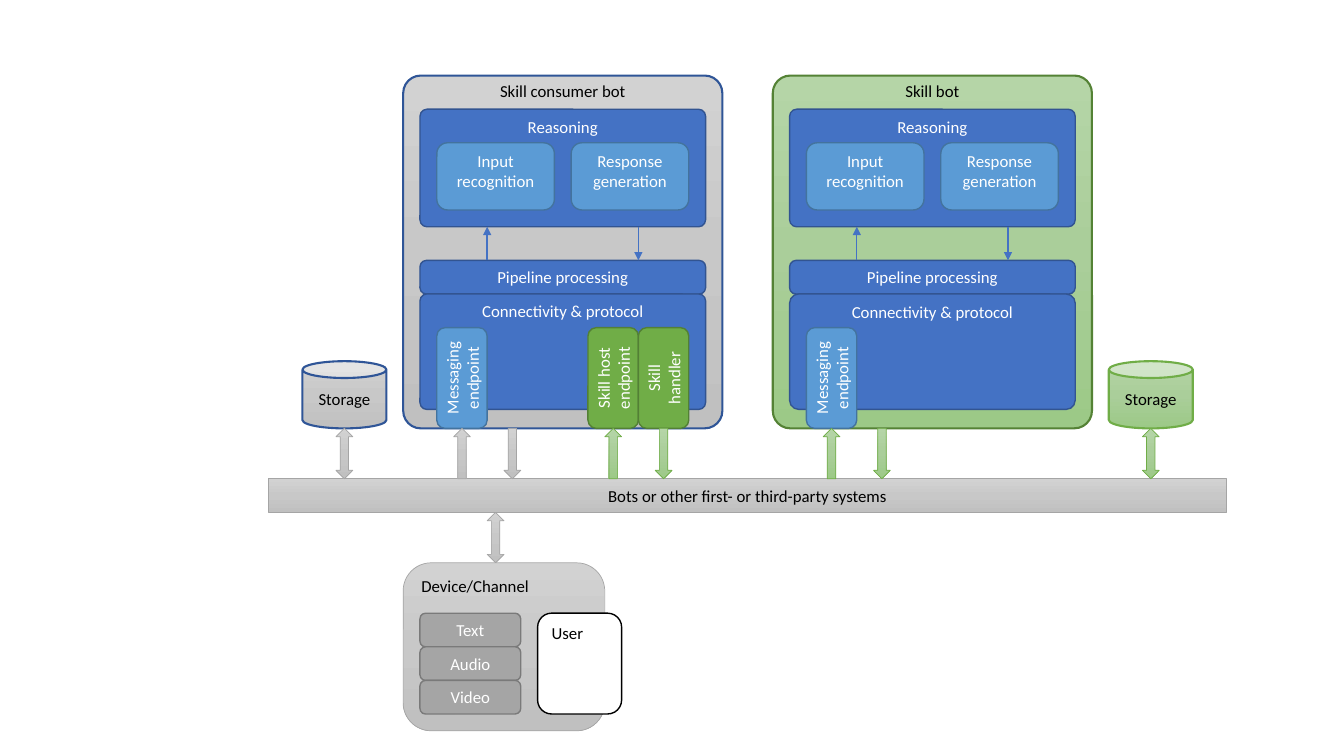
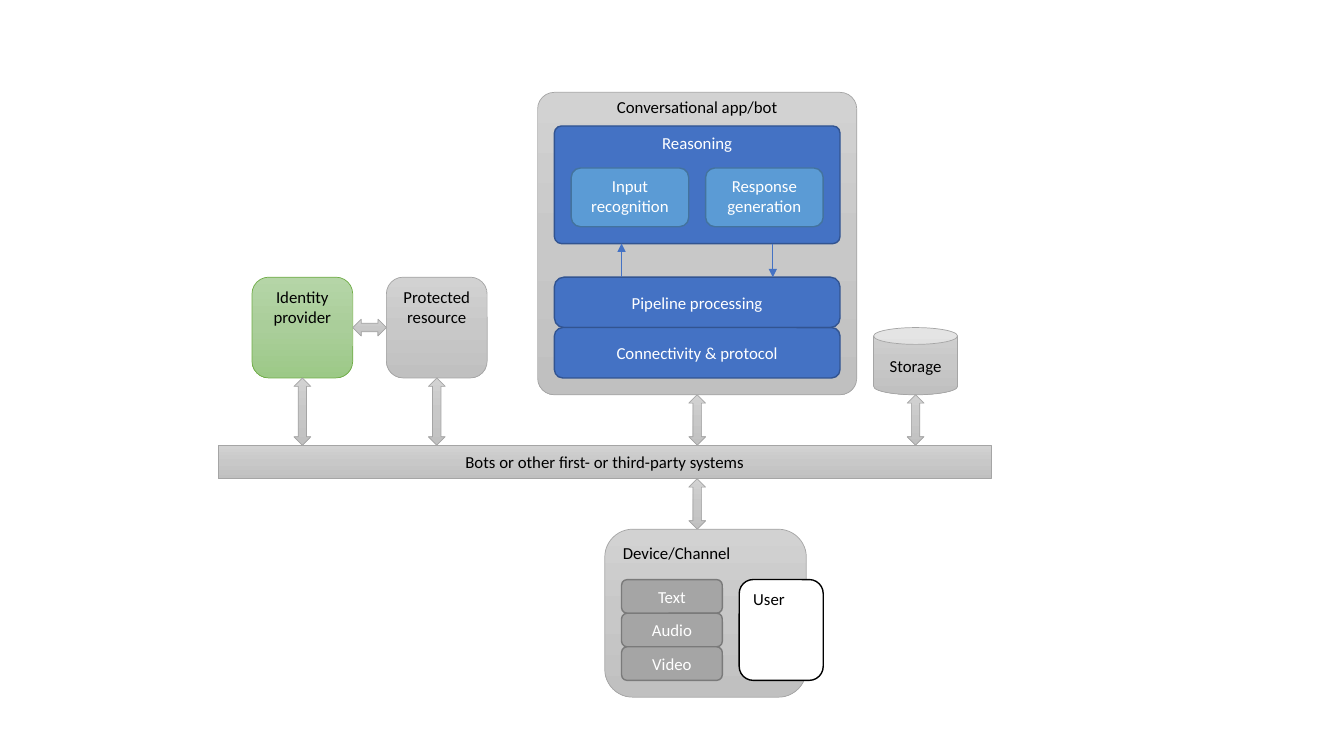
from copy import deepcopy

from lxml.etree import SubElement
from pptx import Presentation
from pptx.dml.color import RGBColor
from pptx.enum.shapes import MSO_CONNECTOR, MSO_SHAPE
from pptx.enum.text import MSO_ANCHOR, PP_ALIGN
from pptx.oxml.ns import qn
from pptx.util import Emu, Pt

PX = 9525
FONT = "Calibri"
GREY = ("D2D2D2", "C8C8C8", "C0C0C0")
GREEN = ("B5D5A7", "AACE9A", "9CC987")
BLACK, WHITE, BLUE = "000000", "FFFFFF", "4472C4"

# fill, line, line width, text
STYLES = {
    "grey": (GREY, "A5A5A5", 0.5, BLACK),
    "green": (GREEN, "70AD47", 0.5, BLACK),
    "consumer": (GREY, "2F5597", 1.5, BLACK),
    "skill": (GREEN, "548235", 1.5, BLACK),
    "skill storage": (GREEN, "70AD47", 1.5, BLACK),
    "layer": (BLUE, "325491", 1, WHITE),
    "part": ("5B9BD5", "43739E", 1, WHITE),
    "endpoint": ("70AD47", "538035", 1, WHITE),
    "media": ("A5A5A5", "7A7A7A", 1, WHITE),
    "user": (WHITE, BLACK, 1, BLACK),
}


def rgb(value):
    """Turn a hex string into a colour."""
    return RGBColor.from_string(value)


def px(value):
    """Turn px into EMU."""
    return Emu(value * PX)


class Diagram:
    """Draws styled elements on the current slide."""

    def __init__(self, prs):
        """Keep the presentation."""
        self.prs = prs
        self.shapes = None
        self.s = None

    def new_slide(self):
        """Start a blank slide."""
        self.s = self.prs.slides.add_slide(self.prs.slide_layouts[6])
        self.ungroup()

    def group(self):
        """Put the next elements in a new group."""
        self.shapes = self.s.shapes.add_group_shape().shapes

    def ungroup(self):
        """Put the next elements directly on the slide."""
        self.shapes = self.s.shapes

    def paint(self, sp, fill):
        """Fill a shape with one colour or a vertical gradient."""
        if isinstance(fill, str):
            sp.fill.solid()
            sp.fill.fore_color.rgb = rgb(fill)
            return
        sp.fill.gradient()
        sp.fill.gradient_angle = 270
        stops = sp._element.spPr.find(qn("a:gradFill")).find(qn("a:gsLst"))
        stops.insert(1, deepcopy(stops[0]))
        for stop, position, colour in zip(sp.fill.gradient_stops, (0, 0.5, 1), fill):
            stop.position = position
            stop.color.rgb = rgb(colour)

    def shape(self, kind, x, y, w, h, style):
        """Add a preset shape in a named style."""
        fill, line, width, _ = STYLES[style]
        sp = self.shapes.add_shape(kind, px(x), px(y), px(w), px(h))
        sp.shadow.inherit = False
        self.paint(sp, fill)
        sp.line.color.rgb = rgb(line)
        sp.line.width = Pt(width)
        return sp

    def box(self, text, x, y, w, h, style, top=False, align=PP_ALIGN.CENTER,
            radius=None, kind=MSO_SHAPE.ROUNDED_RECTANGLE):
        """Add a labelled shape."""
        sp = self.shape(kind, x, y, w, h, style)
        if radius is not None:
            sp.adjustments[0] = radius
        tf = sp.text_frame
        tf.text = text
        tf.word_wrap = True
        tf.vertical_anchor = MSO_ANCHOR.TOP if top else MSO_ANCHOR.MIDDLE
        p = tf.paragraphs[0]
        p.alignment = align
        r = p.runs[0]
        r.font.name = FONT
        r.font.size = Pt(12)
        r.font.color.rgb = rgb(STYLES[style][3])
        return sp

    def upright(self, text, x, y, style):
        """Add a narrow box whose text reads upwards."""
        w, h = 48, 96
        shift = (h - w) // 2
        sp = self.box(text, x - shift, y + shift, h, w, style)
        sp.rotation = 270

    def arrow(self, x, y, style="grey", kind=MSO_SHAPE.UP_DOWN_ARROW, h=48):
        """Add a vertical block arrow."""
        self.shape(kind, x, y, 16, h, style)

    def flow(self, x, y1, y2):
        """Add a thin vertical line with an arrowhead at its end."""
        cn = self.shapes.add_connector(
            MSO_CONNECTOR.STRAIGHT, px(x), px(y1), px(x), px(y2))
        cn.line.color.rgb = rgb(BLUE)
        cn.line.width = Pt(1)
        spPr = cn._element.spPr
        SubElement(spPr.find(qn("a:ln")), qn("a:tailEnd"), type="triangle")
        SubElement(spPr, qn("a:effectLst"))

    def systems(self, x, y, w):
        """Add the bar of connected systems."""
        self.box("Bots or other first- or third-party systems", x, y, w, 32,
                 "grey", kind=MSO_SHAPE.RECTANGLE)

    def storage(self, x, y, style="grey", arrow_style="grey"):
        """Add a storage can with the arrow below it."""
        self.box("Storage", x, y, 80, 64, style, kind=MSO_SHAPE.CAN)
        self.arrow(x + 32, y + 64, arrow_style)

    def device(self, x, y):
        """Add the device group with its media and user."""
        self.group()
        self.box("Device/Channel", x, y, 192, 160, "grey", True, PP_ALIGN.LEFT)
        self.box("User", x + 128, y + 48, 80, 96, "user", True, PP_ALIGN.LEFT)
        for i, text in enumerate(("Text", "Audio", "Video")):
            self.box(text, x + 16, y + 48 + 32 * i, 96, 32, "media")
        self.ungroup()

    def bot(self, title, x, y, h, style, part_h, pipeline_h, protocol_h,
            protocol_top=False, radius=None):
        """Start a bot group with its layers and flows."""
        self.group()
        frame = self.box(title, x, y, 304, h, style, True, radius=0.055)
        frame.text_frame.margin_top = 0
        self.box("Reasoning", x + 16, y + 32, 272, 112, "layer", True, radius=0.06)
        for i, text in enumerate(("Input recognition", "Response generation")):
            self.box(text, x + 32 + 128 * i, y + 128 - part_h, 112, part_h,
                     "part", True, radius=0.16)
        self.box("Pipeline processing", x + 16, y + 176, 272, pipeline_h,
                 "layer", radius=0.19)
        self.box("Connectivity & protocol", x + 16, y + 176 + pipeline_h, 272,
                 protocol_h, "layer", protocol_top, radius=radius)
        self.flow(x + 224, y + 144, y + 176)
        self.flow(x + 80, y + 176, y + 144)

    def skill_slide_bot(self, title, x, style, arrow_style, radius, skills=()):
        """Add a bot with its endpoints and the arrows below them."""
        y, h = 72, 336
        self.bot(title, x, y, h, style, 64, 32, 110, True, radius)
        self.upright("Messaging endpoint", x + 32, y + 240, "part")
        for i, text in enumerate(skills):
            self.upright(text, x + 176 + 48 * i, y + 240, "endpoint")
        arrows = [(48, arrow_style)] + [(192, "green")] * bool(skills)
        for dx, colour in arrows:
            self.arrow(x + dx, y + h, colour, MSO_SHAPE.UP_ARROW)
            self.arrow(x + dx + 48, y + h, colour, MSO_SHAPE.DOWN_ARROW)
        self.ungroup()


def skills_slide(d):
    """Draw the skill consumer and the skill."""
    d.new_slide()
    d.systems(256, 456, 912)
    d.arrow(464, 488)
    d.device(384, 536)
    d.skill_slide_bot("Skill consumer bot", 384, "consumer", "grey", 0.06,
                      ("Skill host endpoint", "Skill handler"))
    d.skill_slide_bot("Skill bot", 736, "skill", "green", 0.08)
    d.storage(288, 344, "consumer")
    d.storage(1056, 344, "skill storage", "green")


def identity_slide(d):
    """Draw the bot with an identity provider."""
    d.new_slide()
    d.systems(208, 424, 736)
    for y in (376, 456):
        d.arrow(656, y)
    d.storage(832, 312)
    d.bot("Conversational app/bot", 512, 88, 288, "grey", 56, 48, 48)
    d.ungroup()
    d.device(576, 504)
    for text, x, style in (("Identity provider", 240, "green"),
                           ("Protected resource", 368, "grey")):
        d.box(text, x, 264, 96, 96, style, True)
        d.arrow(x + 40, 360, h=64)
    d.shape(MSO_SHAPE.LEFT_RIGHT_ARROW, 336, 304, 32, 16, "grey")


def main():
    """Build and save both slides."""
    prs = Presentation()
    prs.slide_width = px(1280)
    prs.slide_height = px(720)
    d = Diagram(prs)
    skills_slide(d)
    identity_slide(d)
    prs.save("out.pptx")


if __name__ == "__main__":
    main()
